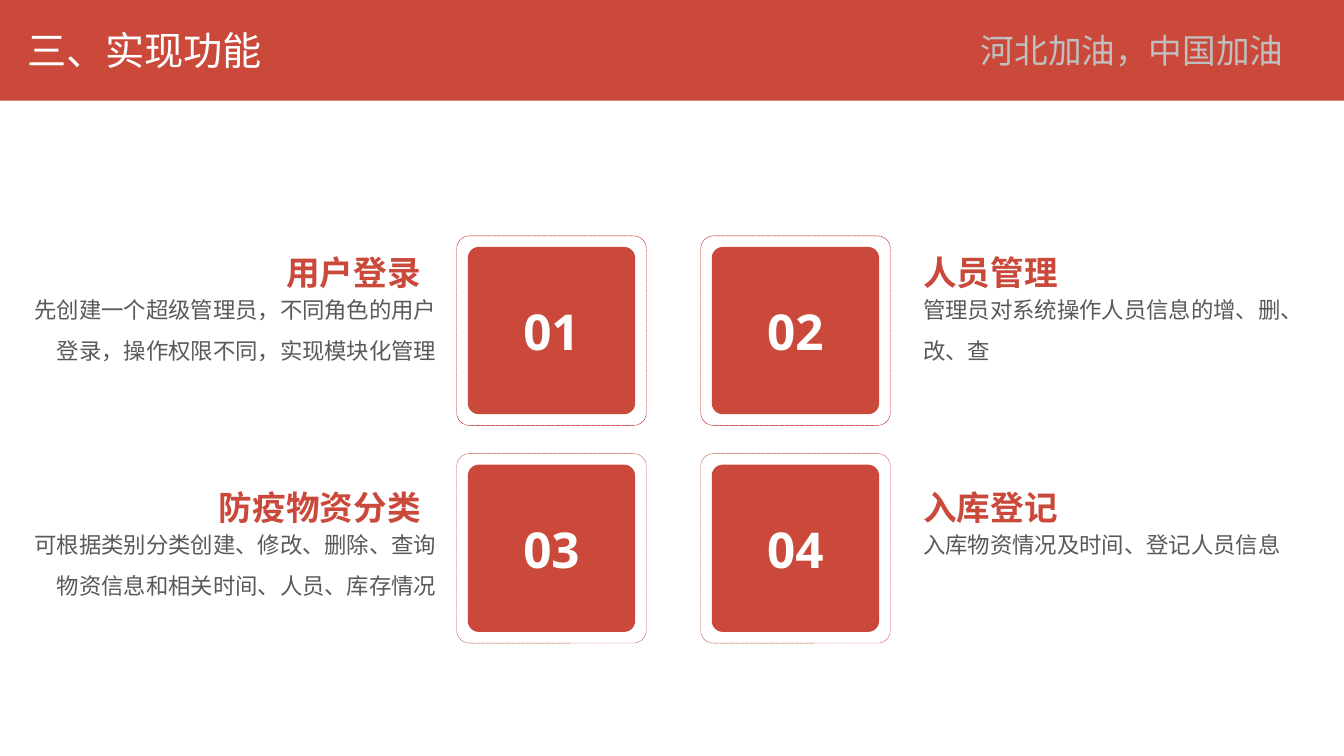
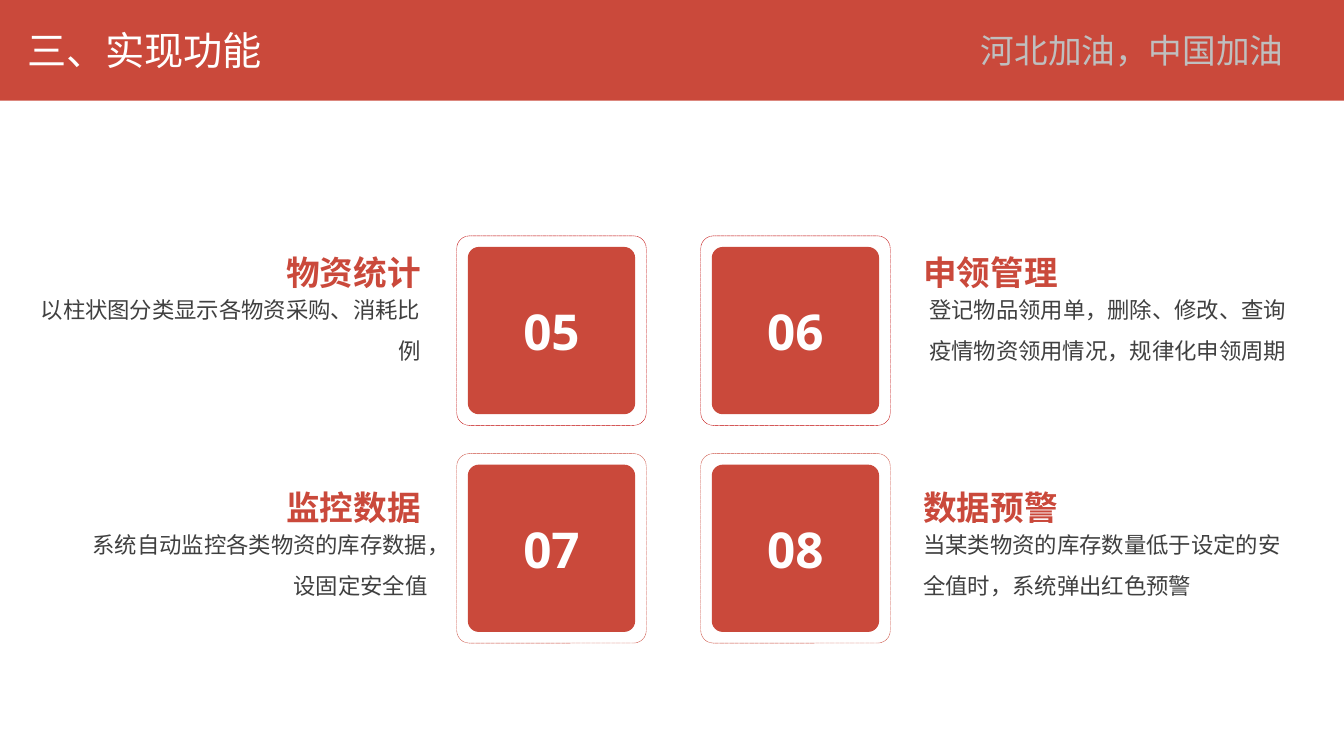
from lxml import etree
from pptx import Presentation
from pptx.dml.color import RGBColor
from pptx.enum import dml, shapes, text
from pptx.oxml.ns import qn
from pptx.util import Inches, Pt

RED = RGBColor(0xCA, 0x49, 0x3B)
DEEP_RED = RGBColor(0xC0, 0x00, 0x00)
WHITE = RGBColor(0xFF, 0xFF, 0xFF)
SILVER = RGBColor(0xBF, 0xBF, 0xBF)
GREY = RGBColor(0x59, 0x59, 0x59)
DARK_GREY = RGBColor(0x40, 0x40, 0x40)

CJK = "Noto Sans CJK SC"
CJK_JP = "Noto Sans CJK JP"
LATIN = "Open Sans"
LEFT, RIGHT = text.PP_ALIGN.LEFT, text.PP_ALIGN.RIGHT
CENTER, JUSTIFY = text.PP_ALIGN.CENTER, text.PP_ALIGN.JUSTIFY

SLIDE_W, SLIDE_H, BAND_H = 13.33, 7.5, 1
TITLE = "三、实现功能"
SLOGAN = "河北加油，中国加油"

GRID_X, GRID_Y = 4.53, 2.34
PITCH_X, PITCH_Y = 2.42, 2.16
FRAME, INSET = 1.88, 0.11
HEAD_Y, HEAD_PITCH = 2.45, 2.33
HEAD_X, HEAD_W = (1.45, 9.06), 2.82
BODY_DROP = 0.31

SLIDES = [
    (GREY, [
        ("用户登录", "先创建一个超级管理员，不同角色的用户登录，操作权限不同，实现模块化管理",
         0.08, 4.35, RIGHT),
        ("人员管理", "管理员对系统操作人员信息的增、删、改、查", 9.06, 4.17, LEFT),
        ("防疫物资分类", "可根据类别分类创建、修改、删除、查询物资信息和相关时间、人员、库存情况",
         0.08, 4.35, RIGHT),
        ("入库登记", "入库物资情况及时间、登记人员信息", 9.06, 4.17, LEFT),
    ]),
    (DARK_GREY, [
        ("物资统计", "以柱状图分类显示各物资采购、消耗比例", 0.1, 4.17, RIGHT),
        ("申领管理", "登记物品领用单，删除、修改、查询疫情物资领用情况，规律化申领周期",
         9.06, 3.8, RIGHT),
        ("监控数据", "系统自动监控各类物资的库存数据，设固定安全值", 0.6, 3.74, RIGHT),
        ("数据预警", "当某类物资的库存数量低于设定的安全值时，系统弹出红色预警",
         9.06, 3.8, LEFT),
    ]),
]


def write(tf, content, size, color, font=CJK, bold=False, align=LEFT):
    tf.text = content
    p = tf.paragraphs[0]
    p.alignment = align
    r = p.runs[0]
    r.font.size, r.font.bold, r.font.name = Pt(size), bold, font
    r.font.color.rgb = color
    rPr = r.font._element
    rPr.set("lang", "zh-CN")
    etree.SubElement(rPr, qn("a:ea")).set("typeface", font)
    return p


def add_text(s, x, y, w, h, content, size, color, leading=1.2, wrap=True, **style):
    tf = s.shapes.add_textbox(Inches(x), Inches(y), Inches(w), Inches(h)).text_frame
    tf.word_wrap = wrap
    tf.auto_size = text.MSO_AUTO_SIZE.SHAPE_TO_FIT_TEXT
    p = write(tf, content, size, color, **style)
    p.line_spacing = Pt(size * leading)


def add_box(s, kind, x, y, w, h, fill=None, line=None):
    sp = s.shapes.add_shape(kind, Inches(x), Inches(y), Inches(w), Inches(h))
    sp.shadow.inherit = False
    if fill is None:
        sp.fill.background()
    else:
        sp.fill.solid()
        sp.fill.fore_color.rgb = fill
    if line is None:
        sp.line.fill.background()
    else:
        sp.line.color.rgb = line
        sp.line.width = Pt(0.25)
        sp.line.dash_style = dml.MSO_LINE.SQUARE_DOT
    if kind == shapes.MSO_SHAPE.ROUNDED_RECTANGLE:
        sp.adjustments[0] = 0.066
    return sp


def add_header(s):
    add_box(s, shapes.MSO_SHAPE.RECTANGLE, 0, 0, SLIDE_W, BAND_H, fill=RED)
    add_text(s, 0.17, 0.21, 2.53, 0.57, TITLE, 28, WHITE, wrap=False)
    add_text(s, 9.63, 0.25, 3.46, 0.5, SLOGAN, 24, SILVER, font=CJK_JP, align=JUSTIFY)


def add_tile(s, x, y, number, outline):
    rounded = shapes.MSO_SHAPE.ROUNDED_RECTANGLE
    side = FRAME - 2 * INSET
    sp = add_box(s, rounded, x + INSET, y + INSET, side, side, fill=RED)
    sp.text_frame.vertical_anchor = text.MSO_ANCHOR.MIDDLE
    write(sp.text_frame, f"{number:02d}", 35.3, WHITE, font=LATIN, bold=True, align=CENTER)
    add_box(s, rounded, x, y, FRAME, FRAME, line=outline)


def add_feature(s, row, col, feature, color):
    head, body, x, w, align = feature
    y = HEAD_Y + row * HEAD_PITCH
    add_text(s, x, y + BODY_DROP, w, 0.91, body, 16, color, leading=1.8, align=align)
    add_text(s, HEAD_X[col], y, HEAD_W, 0.5, head, 24, RED, bold=True,
             align=(RIGHT, LEFT)[col])


def add_feature_slide(prs, first, color, features):
    s = prs.slides.add_slide(prs.slide_layouts[6])
    add_header(s)
    for i, feature in enumerate(features):
        row, col = divmod(i, 2)
        add_tile(s, GRID_X + col * PITCH_X, GRID_Y + row * PITCH_Y,
                 first + i, (DEEP_RED, RED)[row])
        add_feature(s, row, col, feature, color)


def main():
    prs = Presentation()
    prs.slide_width, prs.slide_height = Inches(SLIDE_W), Inches(SLIDE_H)
    first = 1
    for color, features in SLIDES:
        add_feature_slide(prs, first, color, features)
        first += len(features)
    prs.save("out.pptx")


if __name__ == "__main__":
    main()
